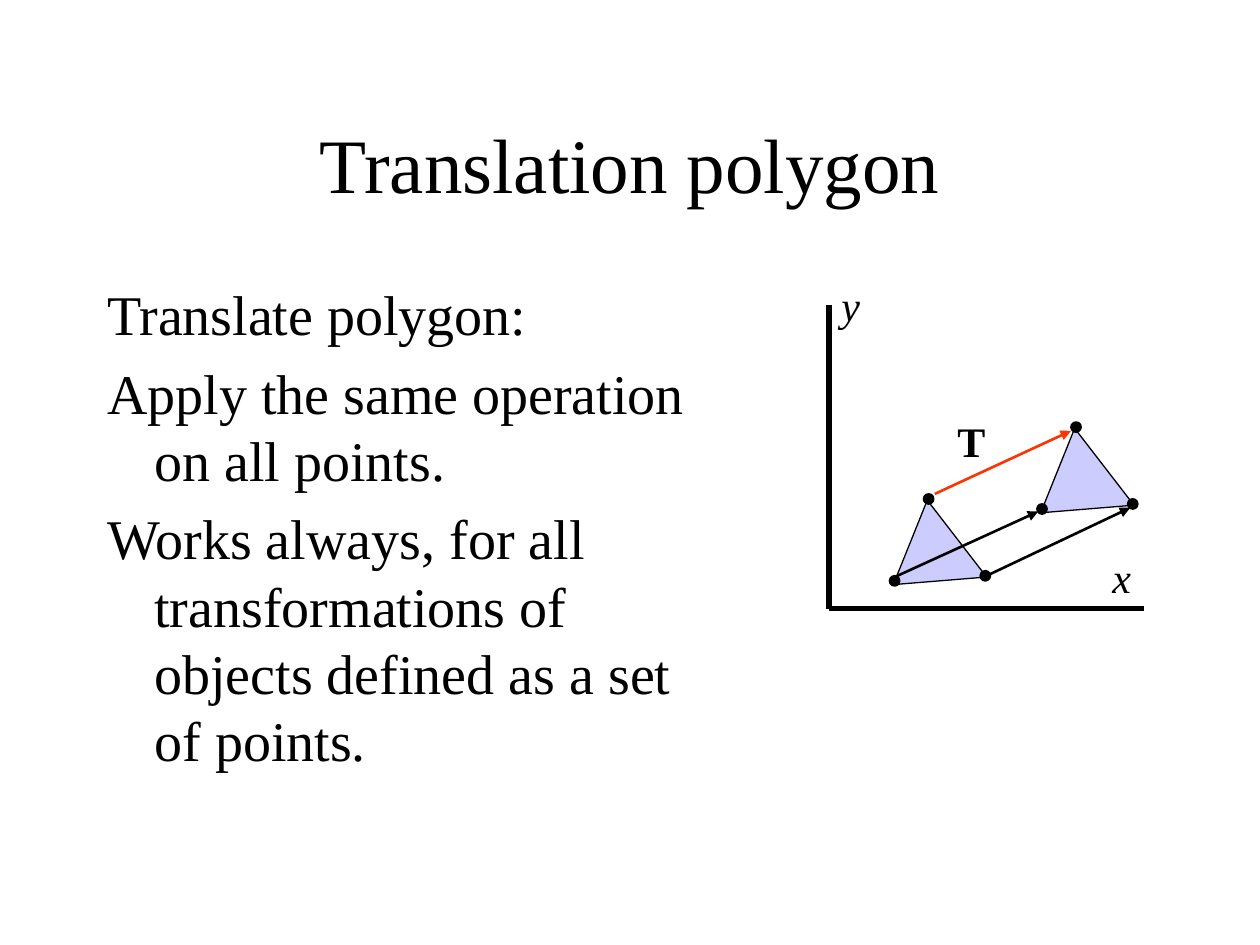
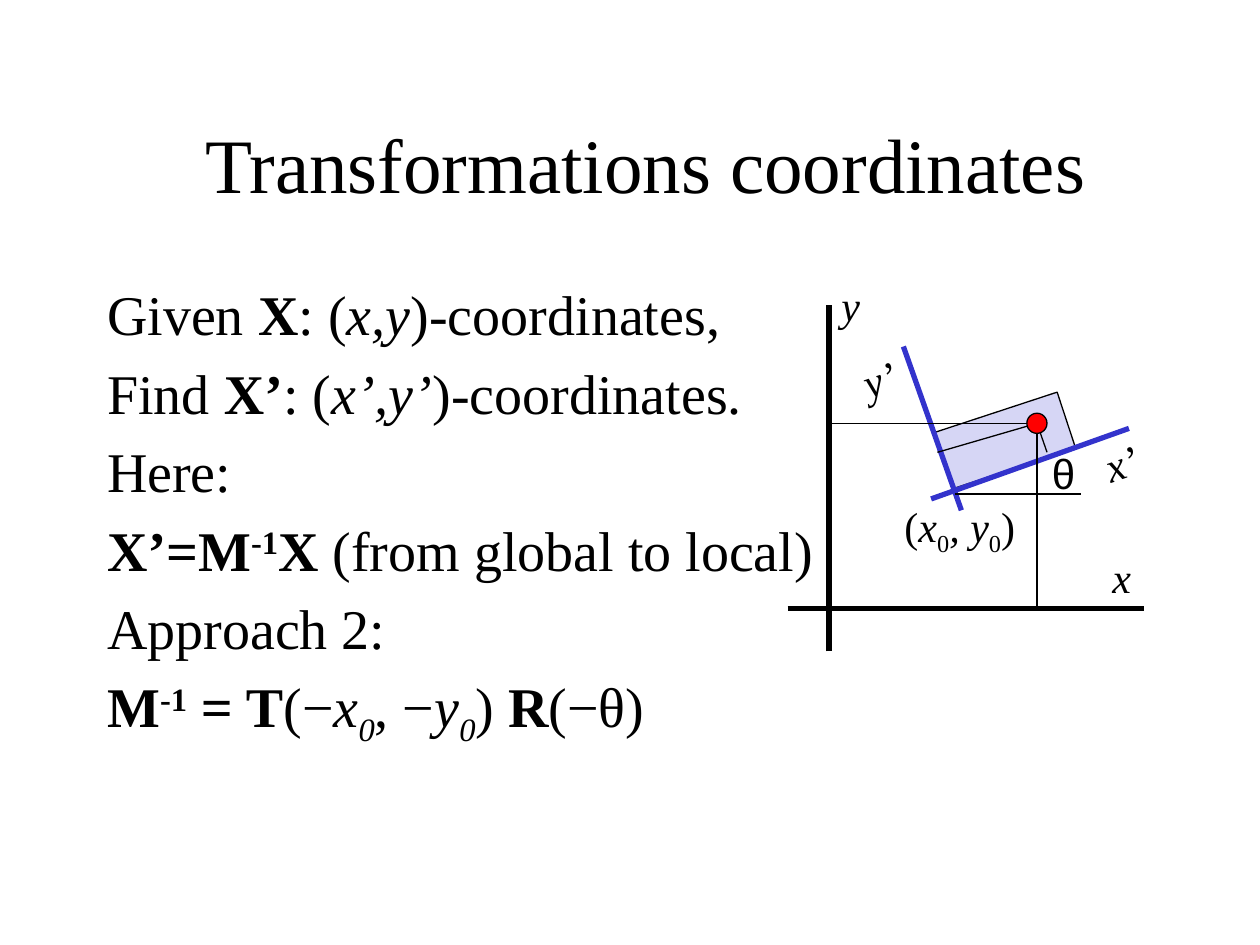
from dataclasses import dataclass

from lxml import etree
from pptx import Presentation
from pptx.dml.color import RGBColor
from pptx.enum.shapes import MSO_CONNECTOR, MSO_SHAPE
from pptx.enum.text import MSO_ANCHOR, MSO_AUTO_SIZE, PP_ALIGN
from pptx.oxml.ns import qn
from pptx.util import Pt

STRAIGHT = MSO_CONNECTOR.STRAIGHT
ELLIPSE = MSO_SHAPE.OVAL
RECTANGLE = MSO_SHAPE.RECTANGLE
MIDDLE = MSO_ANCHOR.MIDDLE
TOP = MSO_ANCHOR.TOP
FIXED = MSO_AUTO_SIZE.NONE
GROW = MSO_AUTO_SIZE.SHAPE_TO_FIT_TEXT
CENTER = PP_ALIGN.CENTER
LEFT = PP_ALIGN.LEFT
PX = 9144


@dataclass(frozen=True)
class Theme:
    ink: RGBColor = RGBColor(0, 0, 0)
    polygon: RGBColor = RGBColor(0xCC, 0xCC, 0xFF)
    rectangle: RGBColor = RGBColor(0xD6, 0xD6, 0xF5)
    local_axis: RGBColor = RGBColor(0x33, 0x33, 0xCC)
    translation: RGBColor = RGBColor(0xFF, 0x33, 0x00)
    point: RGBColor = RGBColor(0xFF, 0, 0)
    serif: str = "Times New Roman"
    sans: str = "Arial"
    title_size: int = 44
    body_size: int = 32
    label_size: int = 24
    thin: float = 0.75
    outline: float = 1
    arrow: float = 1.5
    axis: float = 3


theme = Theme()


def write_spans(para, spans, size, font=theme.serif):
    for text, style in spans:
        span = para.add_run()
        span.text = text
        span.font.name = font
        span.font.size = Pt(size)
        span.font.color.rgb = theme.ink
        span.font.bold = "b" in style
        span.font.italic = "i" in style
        for mark, baseline in (("^", "30000"), ("_", "-25000")):
            if mark in style:
                span._r.get_or_add_rPr().set("baseline", baseline)


def paint(shape, fill, width):
    shape.shadow.inherit = False
    shape.fill.solid()
    shape.fill.fore_color.rgb = fill
    shape.line.color.rgb = theme.ink
    shape.line.width = Pt(width)


deck = Presentation()
deck.slide_width = 1000 * PX
deck.slide_height = 750 * PX

contents = [
    ("Translation polygon", 850, (483, 450), [
        [("Translate polygon:", "")],
        [("Apply the same operation on all points.", "")],
        [("Works always, for all transformations of objects defined as a set of points.", "")],
    ]),
    ("Transformations coordinates", 875, (850, 261), [
        [("Given ", ""), ("X", "b"), (": (", ""), ("x,y", "i"), (")-coordinates,", "")],
        [("Find ", ""), ("X’", "b"), (": (", ""), ("x’,y’", "i"), (")-coordinates.", "")],
        [("Here:", "")],
        [("X’=M", "b"), ("-1", "b^"), ("X ", "b"), ("(from global to local)", "")],
        [("Approach 2:", "")],
        [("M", "b"), ("-1", "b^"), (" = T", "b"), ("(−", ""), ("x", "i"), ("0", "i_"),
         (", −", ""), ("y", "i"), ("0", "i_"), (")", ""), (" R", "b"), ("(−θ)", "")],
    ]),
]

pages = []
for heading, title_width, (body_width, body_height), lines in contents:
    page = deck.slides.add_slide(deck.slide_layouts[1])
    pages.append(page)
    title, body = page.placeholders
    title.left, title.top, title.width, title.height = 75 * PX, 67 * PX, title_width * PX, 125 * PX
    body.left, body.top, body.width, body.height = 75 * PX, 217 * PX, body_width * PX, body_height * PX
    for box, anchor in ((title, MIDDLE), (body, TOP)):
        box.text_frame.auto_size = FIXED
        box.text_frame.word_wrap = True
        box.text_frame.vertical_anchor = anchor
    title.text_frame.paragraphs[0].alignment = CENTER
    write_spans(title.text_frame.paragraphs[0], [(heading, "")], theme.title_size)
    for number, spans in enumerate(lines):
        para = body.text_frame.add_paragraph() if number else body.text_frame.paragraphs[0]
        etree.SubElement(para._p.get_or_add_pPr(), qn("a:buNone"))
        write_spans(para, spans, theme.body_size)

polygon_page, coordinate_page = pages

triangle = [(736, 397), (709, 464), (783, 458)]
corner_dots = [(733, 392), (706, 457), (778, 453)]
dots = []
for shift_x, shift_y in ((0, 0), (117, -57)):
    corners = [(x + shift_x, y + shift_y) for x, y in triangle]
    outline = polygon_page.shapes.build_freeform(*corners[0], scale=PX)
    outline.add_line_segments(corners[1:], close=True)
    paint(outline.convert_to_shape(), theme.polygon, theme.thin)
    dots += [(polygon_page, x + shift_x, y + shift_y, 8, theme.ink, theme.outline)
             for x, y in corner_dots]
dots.append((coordinate_page, 815, 328, 16, theme.point, theme.thin))

local_rectangle = coordinate_page.shapes.add_shape(RECTANGLE, 747 * PX, 326 * PX, 102 * PX, 47 * PX)
local_rectangle.rotation = -18.2
paint(local_rectangle, theme.rectangle, theme.thin)

strokes = [
    (polygon_page, theme.ink, theme.axis, False, [
        (658, 483, 908, 483), (658, 483, 658, 242)]),
    (polygon_page, theme.translation, theme.arrow, True, [(742, 392, 850, 342)]),
    (polygon_page, theme.ink, theme.arrow, True, [
        (710, 458, 824, 406), (783, 457, 897, 403)]),
    (coordinate_page, theme.ink, theme.axis, False, [
        (625, 483, 908, 483), (658, 517, 658, 242)]),
    (coordinate_page, theme.local_axis, theme.axis, False, [
        (739, 396, 896, 340), (763, 405, 717, 275)]),
    (coordinate_page, theme.ink, theme.thin, False, [
        (758, 392, 858, 392), (657, 336, 831, 336), (823, 336, 823, 485),
        (744, 359, 823, 336), (823, 336, 831, 359)]),
]
for page, color, width, has_arrow, segments in strokes:
    for segment in segments:
        line = page.shapes.add_connector(STRAIGHT, *[length * PX for length in segment])
        line.line.color.rgb = color
        line.line.width = Pt(width)
        if has_arrow:
            etree.SubElement(line.line._get_or_add_ln(), qn("a:tailEnd"), type="triangle")
        etree.SubElement(line._element.spPr, qn("a:effectLst"))

for page, x, y, size, color, width in dots:
    dot = page.shapes.add_shape(ELLIPSE, x * PX, y * PX, size * PX, size * PX)
    paint(dot, color, width)

axis_labels = [(page, x, y, 35, 0, [(name, "i")], theme.serif, LEFT)
               for page in pages for name, x, y in (("x", 873, 433), ("y", 658, 217))]
labels = axis_labels + [
    (polygon_page, 750, 325, 42, 0, [("T", "b")], theme.serif, LEFT),
    (coordinate_page, 867, 342, 46, -18.9, [("x’", "i")], theme.serif, LEFT),
    (coordinate_page, 675, 275, 46, -18.9, [("y’", "i")], theme.serif, LEFT),
    (coordinate_page, 825, 350, 38, 0, [("θ", "")], theme.sans, CENTER),
    (coordinate_page, 708, 392, 111, 0,
     [("(", ""), ("x", "i"), ("0", "_"), (", y", "i"), ("0", "_"), (")", "")], theme.serif, LEFT),
]
for page, x, y, width, rotation, spans, font, alignment in labels:
    box = page.shapes.add_textbox(x * PX, y * PX, width * PX, 50 * PX)
    box.rotation = rotation
    box.text_frame.word_wrap = False
    box.text_frame.auto_size = GROW
    box.text_frame.paragraphs[0].alignment = alignment
    write_spans(box.text_frame.paragraphs[0], spans, theme.label_size, font)

deck.save("out.pptx")
